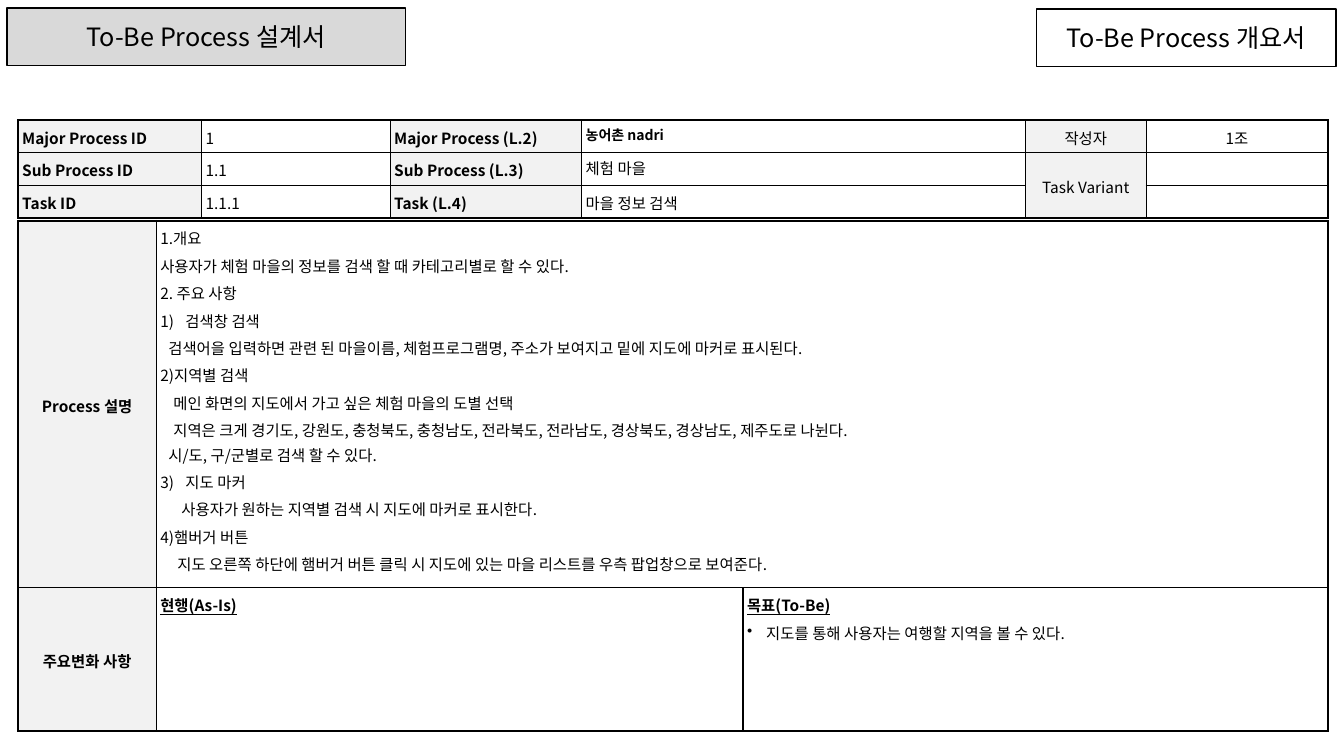
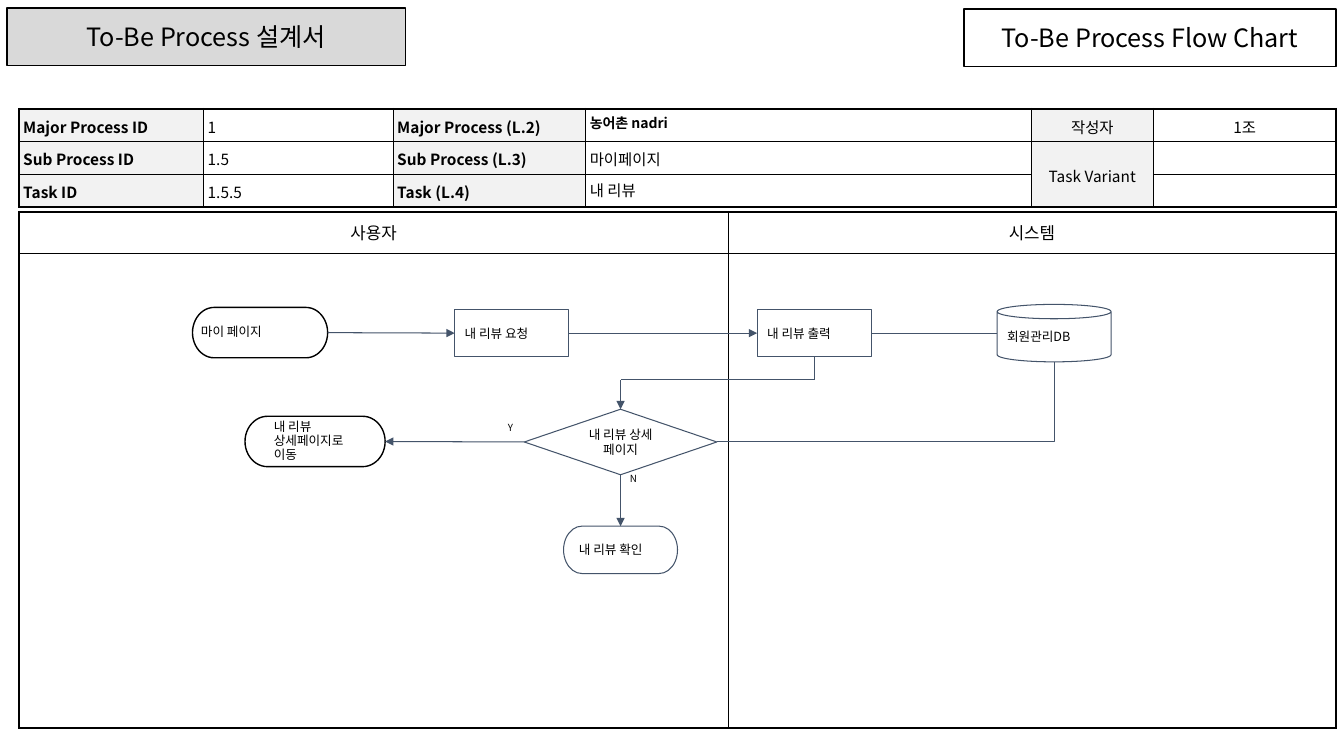
from dataclasses import dataclass
from itertools import pairwise

from lxml.etree import SubElement
from pptx import Presentation
from pptx.dml.color import RGBColor as Rgb
from pptx.enum.shapes import MSO_CONNECTOR as Conn, MSO_SHAPE as Form
from pptx.enum.text import MSO_ANCHOR as Anchor, PP_ALIGN as Align
from pptx.oxml.ns import qn
from pptx.util import Inches, Pt

PLAIN_TABLE = "{2D5ABB26-0587-4C30-8999-92F81FD0307C}"
SIDES = ("top", "left", "bottom", "right")


@dataclass(frozen=True)
class Theme:
    font: str = "Noto Sans CJK KR"
    ink: str = "000000"
    paper: str = "FFFFFF"
    label: str = "F2F2F2"
    band: str = "D9D9D9"
    flow: str = "44546A"
    title: float = 18
    lane: float = 12
    body: float = 11
    name: float = 10
    node: float = 9
    mark: float = 7
    thick: float = 1.5
    thin: float = 1
    hair: float = 0.75


T = Theme()


@dataclass(frozen=True)
class Row:
    """A paragraph of the description: left indent, hanging part, space before."""
    text: str
    left: float = 0
    hang: float = 0
    before: float = 2


NOTES = (
    Row("1.개요", before=0),
    Row("사용자가 체험 마을의 정보를 검색 할 때 카테고리별로 할 수 있다."),
    Row("2. 주요 사항"),
    Row("1)\t검색창 검색", 0.25, 0.25),
    Row("검색어을 입력하면 관련 된 마을이름, 체험프로그램명, 주소가 보여지고 밑에 지도에 마커로 표시된다.", 0.08),
    Row("2)지역별 검색"),
    Row("메인 화면의 지도에서 가고 싶은 체험 마을의 도별 선택", 0.13),
    Row("지역은 크게 경기도, 강원도, 충청북도, 충청남도, 전라북도, 전라남도, "
        "경상북도, 경상남도, 제주도로 나뉜다.", 0.13),
    Row("시/도, 구/군별로 검색 할 수 있다.", 0.08, before=0),
    Row("3)\t지도 마커", 0.25, 0.25),
    Row("사용자가 원하는 지역별 검색 시 지도에 마커로 표시한다.", 0.21),
    Row("4)햄버거 버튼"),
    Row("지도 오른쪽 하단에 햄버거 버튼 클릭 시 지도에 있는 마을 리스트를 우측 팝업창으로 보여준다.", 0.17),
)


def write(para, text, size, bold=False, align=Align.LEFT, lead=None):
    para.text = text
    para.alignment = align
    para.line_spacing = lead
    font = para.font
    font.size, font.bold, font.name = Pt(size), bold, T.font
    font.color.rgb = Rgb.from_string(T.ink)
    latin = para._p.pPr.find(qn("a:defRPr")).find(qn("a:latin"))
    asian = SubElement(latin.getparent(), qn("a:ea"), typeface=T.font)
    latin.addnext(asian)
    if not text:
        SubElement(para._p, qn("a:endParaRPr"), sz=str(int(size * 100)))
    return para


def indent(para, left, hang=0):
    props = para._p.get_or_add_pPr()
    props.set("marL", str(Inches(left)))
    props.set("indent", str(-Inches(hang)))


def bullet(para, left):
    indent(para, left, left)
    props = para._p.pPr
    sign = SubElement(props, qn("a:buChar"), char="•")
    props.find(qn("a:defRPr")).addprevious(sign)


def pad(frame, side, top):
    frame.margin_left = frame.margin_right = Inches(side)
    frame.margin_top = frame.margin_bottom = Inches(top)


def paint(fill, color):
    if color:
        fill.solid()
        fill.fore_color.rgb = Rgb.from_string(color)
    else:
        fill.background()


def stroke(line, color, width):
    line.color.rgb = Rgb.from_string(color)
    line.width = Pt(width)


def edge(cell, widths):
    """Draw the left, right, top and bottom borders, in this order."""
    props = cell._tc.get_or_add_tcPr()
    for spot, (tag, width) in enumerate(zip("LRTB", widths)):
        line = SubElement(props, qn(f"a:ln{tag}"), w=str(Pt(width)))
        fill = SubElement(line, qn("a:solidFill"))
        SubElement(fill, qn("a:srgbClr"), val=T.ink)
        props.insert(spot, line)


def grid(slide, left, top, cols, rows, merges=()):
    shape = slide.shapes.add_table(
        len(rows), len(cols), Inches(left), Inches(top),
        Inches(sum(cols)), Inches(sum(rows)))
    shape.element.find(f".//{qn('a:tableStyleId')}").text = PLAIN_TABLE
    table = shape.table
    table.first_row = table.horz_banding = False
    for col, width in zip(table.columns, cols):
        col.width = Inches(width)
    for row, height in zip(table.rows, rows):
        row.height = Inches(height)
    for start, end in merges:
        table.cell(*start).merge(table.cell(*end))
    return table


def frame_grid(table, inner):
    """Rule the table: thick outside, the given width inside."""
    high, wide = len(table.rows), len(table.columns)
    for r in range(high):
        for c in range(wide):
            cell = table.cell(r, c)
            if cell.is_spanned:
                continue
            outer = (c == 0, c + cell.span_width == wide,
                     r == 0, r + cell.span_height == high)
            edge(cell, [T.thick if out else inner for out in outer])


def fill_cell(cell, text, size=T.body, bold=False, align=Align.LEFT,
              lead=1.1, color=None, inset=(0.04, 0.04)):
    paint(cell.fill, color)
    pad(cell, *inset)
    center = align == Align.CENTER
    cell.vertical_anchor = Anchor.MIDDLE if center else Anchor.TOP
    return write(cell.text_frame.paragraphs[0], text, size, bold, align, lead)


def box(slide, form, area, color, line, width):
    shape = slide.shapes.add_shape(form, *map(Inches, area))
    shape.shadow.inherit = False
    paint(shape.fill, color)
    stroke(shape.line, line, width)
    shape.text_frame.vertical_anchor = Anchor.MIDDLE
    shape.text_frame.word_wrap = True
    return shape


def banner(slide, text, area, color=None):
    shape = box(slide, Form.RECTANGLE, area, color, T.ink, T.thin)
    write(shape.text_frame.paragraphs[0], text, T.title, align=Align.CENTER)


def heads(slide, text, left, width):
    banner(slide, "To-Be Process 설계서", (0.07, 0.08, 3.95, 0.57), T.band)
    banner(slide, text, (left, 0.09, width, 0.57))


def summary(slide, left, top, cols, codes, names, loose):
    """Table of process codes; loose is the row whose name has wider leading."""
    table = grid(slide, left, top, cols, [0.31] * 3, [((1, 4), (2, 4))])
    tags = (("Major Process ID", "Major Process (L.2)"),
            ("Sub Process ID", "Sub Process (L.3)"),
            ("Task ID", "Task (L.4)"))
    for r, ((key, level), code, name) in enumerate(zip(tags, codes, names)):
        fill_cell(table.cell(r, 0), key, bold=True, color=T.label)
        fill_cell(table.cell(r, 1), code)
        fill_cell(table.cell(r, 2), level, bold=True, color=T.label)
        fill_cell(table.cell(r, 3), name, T.body if r else T.name, r == 0,
                  lead=1.1 if r == loose else None)
        fill_cell(table.cell(r, 5), "" if r else "1조", align=Align.CENTER)
    for r, text in enumerate(("작성자", "Task Variant")):
        fill_cell(table.cell(r, 4), text, align=Align.CENTER, color=T.label)
    frame_grid(table, T.thin)


def details(slide):
    table = grid(slide, 0.18, 2.19, [1.37, 5.82, 5.8], [3.64, 1.42],
                 [((0, 1), (0, 2))])
    for r, text in enumerate(("Process 설명", "주요변화 사항")):
        fill_cell(table.cell(r, 0), text, bold=True, align=Align.CENTER,
                  color=T.label)
    notes = table.cell(0, 1)
    para = fill_cell(notes, NOTES[0].text, color=T.paper)
    for row in NOTES[1:]:
        para = write(notes.text_frame.add_paragraph(), row.text, T.body, lead=1.1)
        para.space_before = Pt(row.before)
        indent(para, row.left, row.hang)
    for c, text in enumerate(("현행(As-Is)", "목표(To-Be)"), 1):
        para = fill_cell(table.cell(1, c), text, bold=True, color=T.paper)
        para.font.underline = True
    goal = write(table.cell(1, 2).text_frame.add_paragraph(),
                 "지도를 통해 사용자는 여행할 지역을 볼 수 있다.", T.body, lead=1.1)
    goal.space_before = Pt(2.2)
    bullet(goal, 0.19)
    frame_grid(table, T.thin)


def lanes(slide):
    table = grid(slide, 0.19, 2.1, [7.03, 6.03], [0.41, 4.71])
    for c, text in enumerate(("사용자", "시스템")):
        fill_cell(table.cell(0, c), text, T.lane, align=Align.CENTER,
                  lead=None, inset=(0.1, 0.05))
        fill_cell(table.cell(1, c), "")
    frame_grid(table, T.hair)


def node(slide, form, text, area, align=Align.LEFT):
    shape = box(slide, form, area, T.paper, T.flow, T.hair)
    pad(shape.text_frame, 0.1, 0.1)
    write(shape.text_frame.paragraphs[0], text, T.node, align=align)
    return shape


def page(slide, text, area, left=0):
    """Black terminator that stands for a screen."""
    shape = box(slide, Form.FLOWCHART_TERMINATOR, area, T.paper, T.ink, T.thin)
    pad(shape.text_frame, 0.02, 0)
    indent(write(shape.text_frame.paragraphs[0], text, T.node, lead=0.9), left)
    return shape


def mark(slide, text, left, top):
    area = map(Inches, (left, top, 0.26, 0.32))
    frame = slide.shapes.add_textbox(*area).text_frame
    frame.word_wrap = True
    pad(frame, 0.1, 0.1)
    write(frame.paragraphs[0], text, T.mark)


def spot(shape, side):
    """Middle of one side of a shape."""
    x, y = shape.left + shape.width // 2, shape.top + shape.height // 2
    return {"top": (x, shape.top), "bottom": (x, shape.top + shape.height),
            "left": (shape.left, y), "right": (shape.left + shape.width, y)}[side]


def wire(slide, start, end, arrow=False, kind=Conn.STRAIGHT):
    line = slide.shapes.add_connector(kind, *start, *end)
    stroke(line.line, T.flow, T.hair)
    props = line.element.spPr
    if arrow:
        SubElement(props.find(qn("a:ln")), qn("a:tailEnd"), type="triangle")
    SubElement(props, qn("a:effectLst"))
    return line


def join(slide, a, out, b, into, arrow=True, kind=Conn.STRAIGHT):
    """Glue a connector to two shapes; a can has one more site at its top."""
    start, end = spot(a, out), spot(b, into)
    line = wire(slide, start, end, arrow, kind)
    site_a, site_b = (SIDES.index(side) + (shape.auto_shape_type == Form.CAN)
                      for shape, side in ((a, out), (b, into)))
    line.begin_connect(a, site_a)
    line.end_connect(b, site_b)
    line.begin_x, line.begin_y = start
    line.end_x, line.end_y = end
    return line


def flow(slide):
    home = page(slide, "마이 페이지", (1.91, 3.05, 1.34, 0.5))
    ask = node(slide, Form.FLOWCHART_PROCESS, "내 리뷰 요청",
               (4.51, 3.07, 1.13, 0.47))
    show = node(slide, Form.FLOWCHART_PROCESS, "내 리뷰 출력",
                (7.51, 3.07, 1.13, 0.47))
    store = node(slide, Form.CAN, "회원관리DB", (9.89, 3.02, 1.13, 0.57))
    test = node(slide, Form.FLOWCHART_DECISION, "내 리뷰 상세 페이지",
                (5.2, 4.06, 1.91, 0.65), Align.CENTER)
    done = node(slide, Form.FLOWCHART_TERMINATOR, "내 리뷰 확인",
                (5.59, 5.22, 1.13, 0.47))
    detail = page(slide, "내 리뷰\v상세페이지로\v이동",
                  (2.43, 4.13, 1.39, 0.5), 0.2)
    mark(slide, "Y", 4.94, 4.12)
    mark(slide, "N", 6.15, 4.63)

    join(slide, home, "right", ask, "left")
    join(slide, ask, "right", show, "left")
    join(slide, store, "left", show, "right", arrow=False)
    join(slide, test, "left", detail, "right")
    join(slide, test, "bottom", done, "top")
    bend = join(slide, test, "right", store, "bottom", False, Conn.ELBOW)
    bend.element.spPr.find(qn("a:prstGeom")).set("prst", "bentConnector2")

    start, end = spot(show, "bottom"), spot(test, "top")
    turn = Inches(3.77)
    route = (start, (start[0], turn), (end[0], turn), end)
    for a, b in pairwise(route):
        wire(slide, a, b, arrow=b == end)


def main():
    deck = Presentation()
    deck.slide_width, deck.slide_height = Inches(13.33), Inches(7.5)
    blank = deck.slide_layouts[6]

    slide = deck.slides.add_slide(blank)
    heads(slide, "To-Be Process 개요서", 10.28, 2.97)
    summary(slide, 0.18, 1.19, [1.82, 1.87, 1.9, 4.4, 1.2, 1.8],
            ("1", "1.1", "1.1.1"),
            ("농어촌 nadri", "체험 마을", "마을 정보 검색"), loose=2)
    details(slide)

    slide = deck.slides.add_slide(blank)
    heads(slide, "To-Be Process Flow Chart", 9.56, 3.69)
    lanes(slide)
    summary(slide, 0.19, 1.08, [1.83, 1.88, 1.91, 4.42, 1.21, 1.81],
            ("1", "1.5", "1.5.5"),
            ("농어촌 nadri", "마이페이지", "내 리뷰"), loose=1)
    flow(slide)

    deck.save("out.pptx")


if __name__ == "__main__":
    main()
